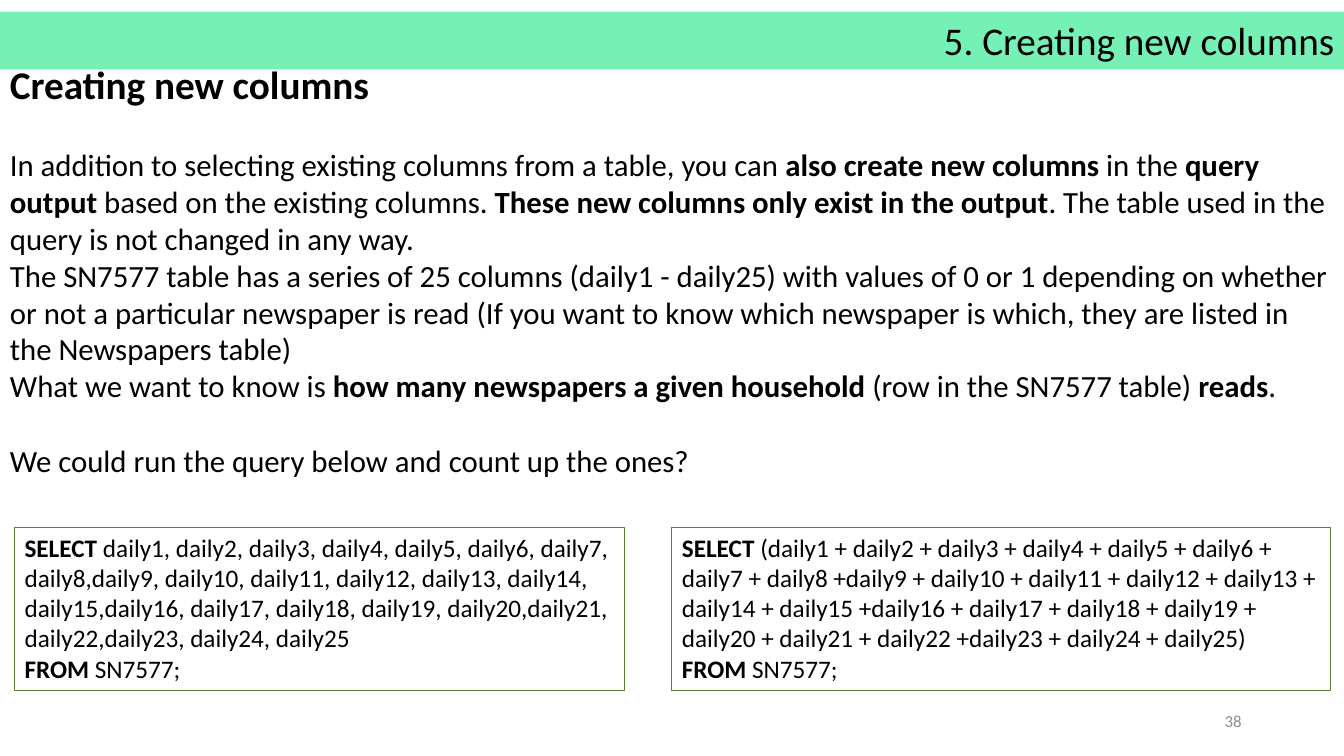
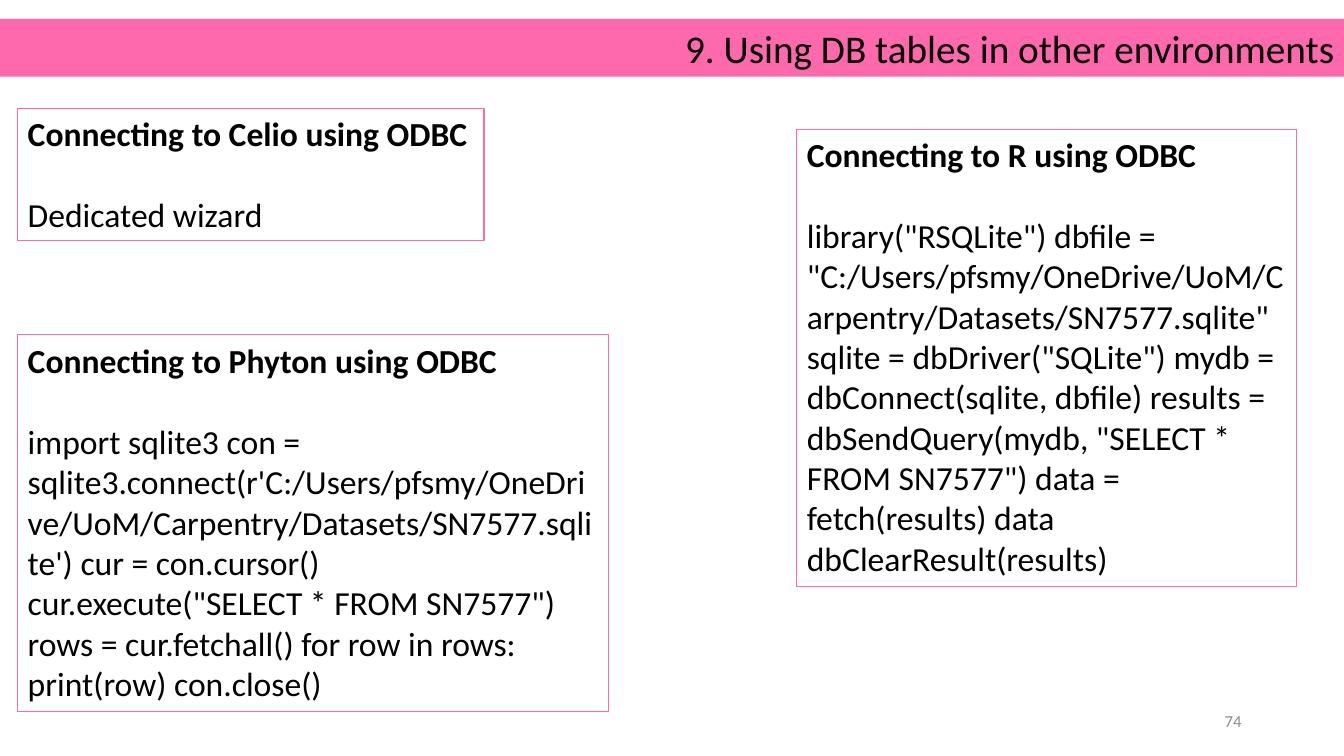
from dataclasses import dataclass
from typing import Optional

import pptx
import pptx.dml.color
import pptx.enum.shapes
import pptx.enum.text
import pptx.util

RGBColor = pptx.dml.color.RGBColor
ALIGN = pptx.enum.text.PP_ALIGN
ANCHOR = pptx.enum.text.MSO_ANCHOR

EMU_PER_PX = 9525
SLIDE_W, SLIDE_H = 1280, 720
BAND_H = 55
FONT = "Calibri"
BLACK = RGBColor(0x00, 0x00, 0x00)
GREY = RGBColor(0x8C, 0x8C, 0x8C)
MINT = RGBColor(0x75, 0xF1, 0xB6)
GREEN = RGBColor(0x54, 0x82, 0x35)
PINK = RGBColor(0xFD, 0x69, 0xAC)


@dataclass(frozen=True)
class Run:
    text: str
    bold: bool = False


@dataclass(frozen=True)
class Para:
    runs: tuple[Run, ...]
    size: int
    before: int = 0


@dataclass(frozen=True)
class Box:
    x: int
    y: int
    w: int
    h: int
    paras: tuple[Para, ...]
    line: Optional[RGBColor] = None
    fill: Optional[RGBColor] = None
    color: RGBColor = BLACK
    align: ALIGN = ALIGN.LEFT
    anchor: ANCHOR = ANCHOR.TOP


@dataclass(frozen=True)
class Page:
    title: str
    band_y: int
    band_color: RGBColor
    number: int
    boxes: tuple[Box, ...]


def px(n: int) -> int:
    return pptx.util.Emu(n * EMU_PER_PX)


def add_box(s: pptx.slide.Slide, box: Box) -> None:
    place = [px(n) for n in (box.x, box.y, box.w, box.h)]
    if box.line is None and box.fill is None:
        sp = s.shapes.add_textbox(*place)
    else:
        sp = s.shapes.add_shape(pptx.enum.shapes.MSO_SHAPE.RECTANGLE, *place)
        sp.shadow.inherit = False
        if box.fill is None:
            sp.fill.background()
        else:
            sp.fill.solid()
            sp.fill.fore_color.rgb = box.fill
        if box.line is None:
            sp.line.fill.background()
        else:
            sp.line.color.rgb = box.line
            sp.line.width = pptx.util.Pt(0.75)
    tf = sp.text_frame
    tf.word_wrap = True
    tf.vertical_anchor = box.anchor
    for i, para in enumerate(box.paras):
        p = tf.add_paragraph() if i else tf.paragraphs[0]
        p.alignment = box.align
        if para.before:
            p.space_before = pptx.util.Pt(para.before)
        for run in para.runs:
            r = p.add_run()
            r.text = run.text
            r.font.name = FONT
            r.font.size = pptx.util.Pt(para.size)
            r.font.bold = run.bold
            r.font.color.rgb = box.color


def plain(text: str, size: int, before: int = 0) -> Para:
    return Para((Run(text),), size, before)


def heading(text: str, size: int) -> Para:
    return Para((Run(text, True),), size)


def query_box(x: int, w: int, columns: str) -> Box:
    return Box(x, 502, w, 156, (
        Para((Run("SELECT ", True), Run(columns)), 18),
        Para((Run("FROM", True), Run(" SN7577;")), 18),
    ), line=GREEN)


def connection_box(x: int, y: int, w: int, h: int, title: str, body: str) -> Box:
    return Box(x, y, w, h, (heading(title, 24), plain(body, 24, 29)), line=PINK)


def add_page(prs: pptx.presentation.Presentation, page: Page) -> None:
    s = prs.slides.add_slide(prs.slide_layouts[6])
    band = Box(0, page.band_y, SLIDE_W, BAND_H, (plain(page.title, 28),),
               fill=page.band_color, align=ALIGN.RIGHT)
    number = Box(904, 667, 288, 38, (plain(str(page.number), 12),),
                 color=GREY, align=ALIGN.RIGHT, anchor=ANCHOR.MIDDLE)
    for box in (band, *page.boxes, number):
        add_box(s, box)


INTRO = Box(0, 53, SLIDE_W, 449, (
    heading("Creating new columns", 28),
    Para((
        Run("In addition to selecting existing columns from a table, you can "),
        Run("also create new columns ", True),
        Run("in the "),
        Run("query output ", True),
        Run("based on the existing columns. "),
        Run("These new columns only exist in the output", True),
        Run(". The table used in the query is not changed in any way."),
    ), 22, 27),
    plain("The SN7577 table has a series of 25 columns (daily1 - daily25) with values "
          "of 0 or 1 depending on whether or not a particular newspaper is read (If you "
          "want to know which newspaper is which, they are listed in the Newspapers table)",
          22),
    Para((
        Run("What we want to know is "),
        Run("how many newspapers a given household", True),
        Run(" (row in the SN7577 table) "),
        Run("reads", True),
        Run("."),
    ), 22),
    plain("We could run the query below and count up the ones?", 22, 27),
))

PAGES = (
    Page("5. Creating new columns", 11, MINT, 38, (
        INTRO,
        query_box(14, 581,
                  "daily1, daily2, daily3, daily4, daily5, daily6, daily7, "
                  "daily8,daily9, daily10, daily11, daily12, daily13, daily14, "
                  "daily15,daily16, daily17, daily18, daily19, daily20,daily21, "
                  "daily22,daily23, daily24, daily25"),
        query_box(640, 627,
                  "(daily1 + daily2 + daily3 + daily4 + daily5 + daily6 + "
                  "daily7 + daily8 +daily9 + daily10 + daily11 + daily12 + daily13 + "
                  "daily14 + daily15 +daily16 + daily17 + daily18 + daily19 + "
                  "daily20 + daily21 + daily22 +daily23 + daily24 + daily25)"),
    )),
    Page("9. Using DB tables in other environments", 18, PINK, 74, (
        connection_box(17, 103, 444, 126,
                       "Connecting to Celio using ODBC", "Dedicated wizard"),
        connection_box(17, 319, 563, 359, "Connecting to Phyton using ODBC",
                       "import sqlite3 con = sqlite3.connect(r'C:/Users/pfsmy/OneDrive/"
                       "UoM/Carpentry/Datasets/SN7577.sqlite') cur = con.cursor() "
                       "cur.execute(\"SELECT * FROM SN7577\") rows = cur.fetchall() "
                       "for row in rows: print(row) con.close()"),
        connection_box(759, 123, 476, 436, "Connecting to R using ODBC",
                       "library(\"RSQLite\") dbfile = \"C:/Users/pfsmy/OneDrive/UoM/"
                       "Carpentry/Datasets/SN7577.sqlite\" sqlite = dbDriver(\"SQLite\") "
                       "mydb = dbConnect(sqlite, dbfile) results = dbSendQuery(mydb, "
                       "\"SELECT * FROM SN7577\") data = fetch(results) data "
                       "dbClearResult(results)"),
    )),
)


def main() -> None:
    prs = pptx.Presentation()
    prs.slide_width, prs.slide_height = px(SLIDE_W), px(SLIDE_H)
    for page in PAGES:
        add_page(prs, page)
    prs.save("out.pptx")


if __name__ == "__main__":
    main()
